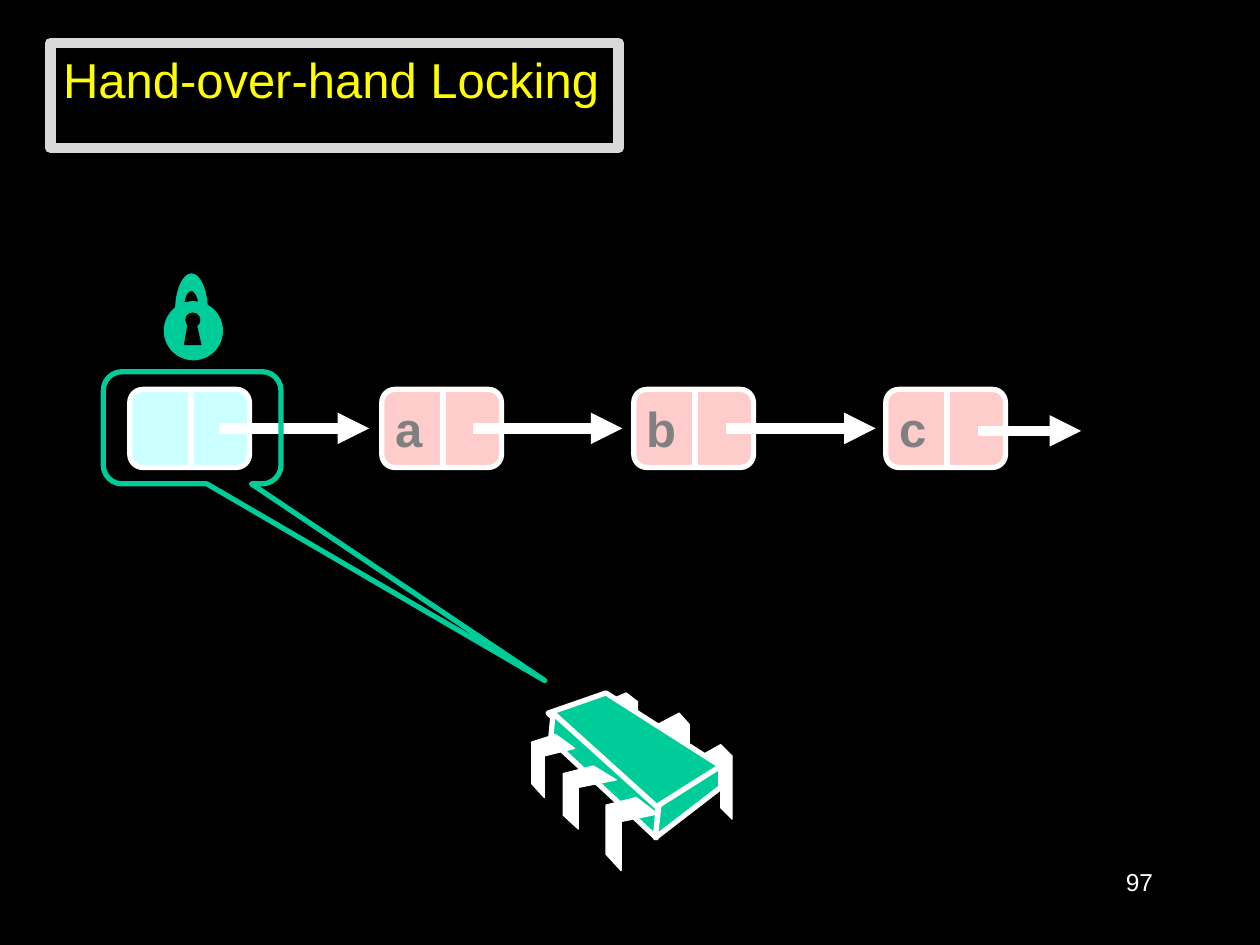
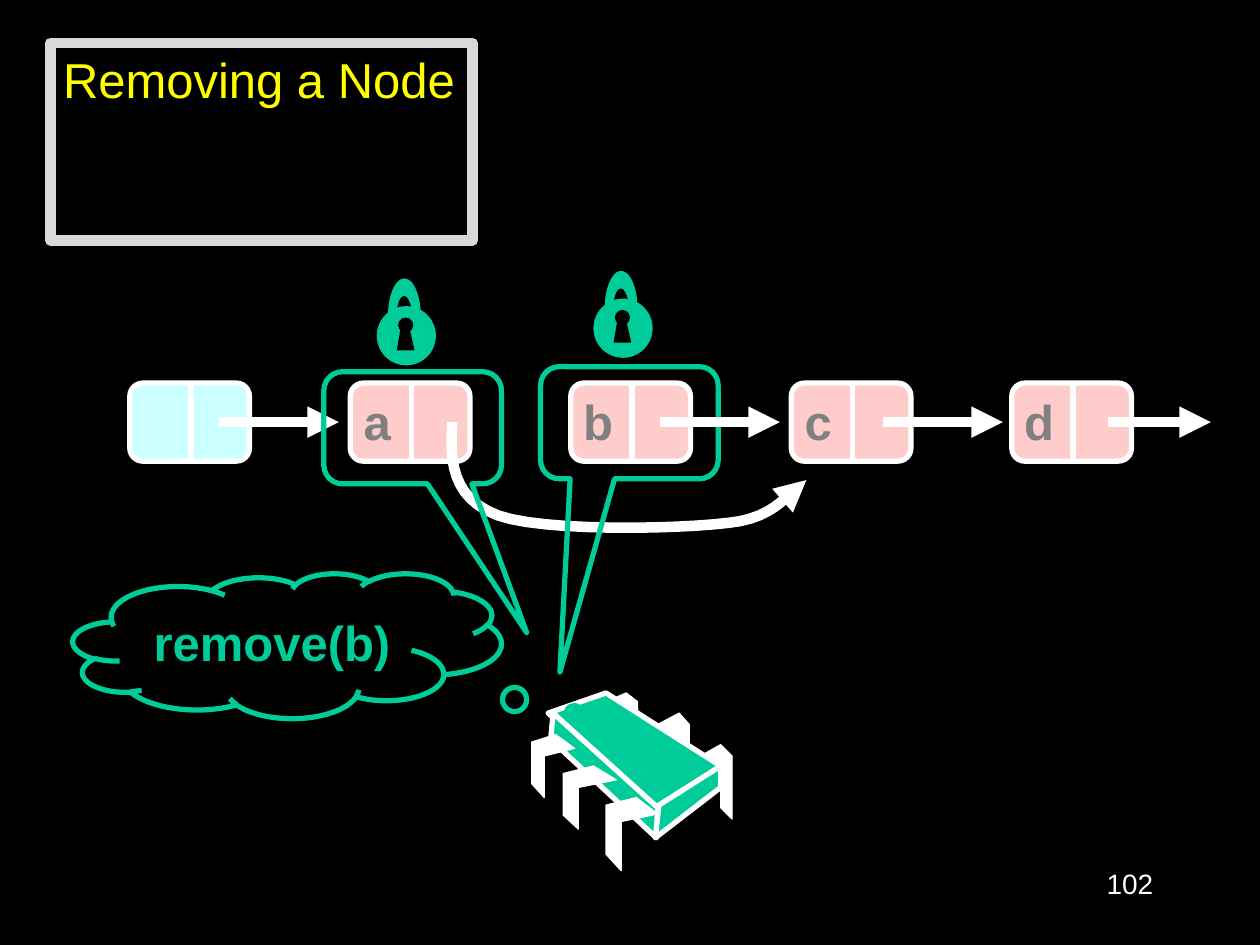
from lxml import etree
from pptx import Presentation
from pptx.dml.color import RGBColor
from pptx.enum.shapes import MSO_CONNECTOR, MSO_SHAPE
from pptx.enum.text import MSO_ANCHOR, MSO_AUTO_SIZE, PP_ALIGN
from pptx.oxml.ns import qn
from pptx.util import Pt

PX = 9144  # EMU in one px, 100 px to the inch
FONT = "Arial"
COLORS = {
    "background": "000000",
    "white": "FFFFFF",
    "thread": "00CC99",
    "sentinel": "CCFFFF",
    "node": "FFCCCC",
    "letter": "808080",
    "title": "FFFF00",
    "title_frame": "D9D9D9",
}

NODE_WIDTH, NODE_HEIGHT = 95, 62
FIRST_NODE_LEFT = 103
CORNER = 0.167

BACK_PINS = [
    [(556, 600), (572, 591), (581, 600), (581, 650), (572, 641), (572, 608), (556, 616)],
    [(522, 575), (539, 566), (547, 575), (547, 625), (539, 616), (539, 583), (522, 591)],
    [(481, 557), (497, 550), (506, 557), (506, 600), (497, 593), (497, 564), (481, 571)],
]
CHIP_FACES = [
    [(481, 550), (572, 608), (521, 643), (435, 566)],
    [(439, 566), (522, 641), (521, 665), (437, 587)],
    [(572, 608), (572, 625), (520, 665), (523, 639)],
]
FRONT_PINS = [
    [(505, 633), (522, 646), (493, 652), (493, 691), (481, 678), (481, 639)],
    [(471, 608), (489, 619), (459, 625), (459, 658), (447, 647), (447, 614)],
    [(441, 583), (456, 594), (432, 600), (432, 633), (422, 622), (422, 589)],
]


def emu(*lengths):
    return [round(length * PX) for length in lengths]


def rgb(name):
    return RGBColor.from_string(COLORS[name])


def paint(shape, fill=None, line=None, width=3):
    shape.shadow.inherit = False
    if fill:
        shape.fill.solid()
        shape.fill.fore_color.rgb = rgb(fill)
    else:
        shape.fill.background()
    if line:
        shape.line.color.rgb = rgb(line)
        shape.line.width = Pt(width)
    else:
        shape.line.fill.background()


def write(shape, text, size, color, align, bold=False, wrap=True):
    frame = shape.text_frame
    frame.word_wrap = wrap
    if not wrap:
        frame.auto_size = MSO_AUTO_SIZE.SHAPE_TO_FIT_TEXT
    paragraph = frame.paragraphs[0]
    paragraph.text = text
    paragraph.alignment = align
    font = paragraph.font
    font.name, font.size, font.bold = FONT, Pt(size), bold
    font.color.rgb = rgb(color)


def add_preset(shapes, preset, box, adjustments=(), **style):
    shape = shapes.add_shape(preset, *emu(*box))
    for index, value in enumerate(adjustments):
        shape.adjustments[index] = value
    paint(shape, **style)
    return shape


def add_outline(shapes, points, close=True, **style):
    start, *others = [emu(*point) for point in points]
    builder = shapes.build_freeform(*start)
    builder.add_line_segments(others, close=close)
    shape = builder.convert_to_shape()
    paint(shape, **style)
    return shape


def curve(start, *pieces, steps=12):
    """Points along cubic pieces, each given as two controls and an end."""
    points = [start]
    for control_1, control_2, end in pieces:
        corners = (points[-1], control_1, control_2, end)
        for step in range(1, steps + 1):
            t = step / steps
            weights = ((1 - t) ** 3, 3 * t * (1 - t) ** 2, 3 * t * t * (1 - t), t ** 3)
            points.append(tuple(
                sum(w * corner[axis] for w, corner in zip(weights, corners))
                for axis in (0, 1)))
    return points


def add_arrowhead(shape):
    etree.SubElement(shape.line._get_or_add_ln(), qn("a:tailEnd"), type="triangle")


def add_line(shapes, start, end, width):
    line = shapes.add_connector(MSO_CONNECTOR.STRAIGHT, *emu(*start, *end))
    line.line.color.rgb = rgb("white")
    line.line.width = Pt(width)
    etree.SubElement(line._element.spPr, qn("a:effectLst"))
    return line


def add_pointer(slide, left, right, y):
    add_arrowhead(add_line(slide.shapes, (left, y), (right, y), 6))


def add_node(slide, left, top, letter):
    shapes = slide.shapes.add_group_shape().shapes
    add_preset(shapes, MSO_SHAPE.ROUNDED_RECTANGLE, (left, top, NODE_WIDTH, NODE_HEIGHT),
               [CORNER], fill="node" if letter else "sentinel", line="white")
    middle = left + 48.5
    add_line(shapes, (middle, top - 1), (middle, top + NODE_HEIGHT + 1), 3)
    if letter:
        label = shapes.add_textbox(*emu(left, top + 2, 43, 57))
        write(label, letter, 28, "letter", PP_ALIGN.CENTER, bold=True, wrap=False)


def add_list(slide, letters, top, step):
    """The sentinel node, then one node for each letter."""
    for index, letter in enumerate(["", *letters]):
        add_node(slide, FIRST_NODE_LEFT + index * step, top, letter)


def add_chip(slide):
    shapes = slide.shapes.add_group_shape().shapes
    for pin in BACK_PINS:
        add_outline(shapes, pin, fill="white", line="white", width=0.75)
    for face in CHIP_FACES:
        add_outline(shapes, face, fill="thread", line="white")
    for pin in FRONT_PINS:
        add_outline(shapes, pin, fill="white", line="white", width=0.75)


def add_lock(slide, left, top):
    shapes = slide.shapes.add_group_shape().shapes

    def shifted(points):
        return [(left + x, top + y) for x, y in points]

    add_preset(shapes, MSO_SHAPE.OVAL, (left, top, 47, 47), fill="thread")
    add_preset(shapes, MSO_SHAPE.OVAL, (left + 17, top + 9, 12, 12), fill="background")
    keyhole = [(16, 35), (19, 17), (26, 17), (30, 35)]
    add_outline(shapes, shifted(keyhole), fill="background")
    inner = curve((16, 7), ((16, -1), (18, -8), (22, -8)), ((25, -8), (28, -1), (28, 7)))
    outer = curve((35, 7), ((35, -9), (29, -22), (22, -22)), ((15, -22), (9, -9), (9, 7)))
    add_outline(shapes, shifted(inner + outer), fill="thread")


def add_grip(slide, left, top, tip_x, tip_y):
    """A callout round a node, with its tip at the thread that holds it."""
    add_preset(slide.shapes, MSO_SHAPE.ROUNDED_RECTANGULAR_CALLOUT, (left, top, 141, 89),
               [tip_x, tip_y, CORNER], line="thread")


def add_thought(slide, text):
    cloud = add_preset(slide.shapes, MSO_SHAPE.CLOUD_CALLOUT, (58, 455, 340, 115),
                       [0.791, 0.553], line="thread")
    cloud.text_frame.vertical_anchor = MSO_ANCHOR.MIDDLE
    write(cloud, text, 28, "thread", PP_ALIGN.CENTER, bold=True)


def add_bypass(slide):
    """The curved pointer from node a past node b to node c."""
    path = curve((359, 335),
                 ((357, 365), (358, 395), (395, 409)),
                 ((431, 422), (537, 420), (578, 415)),
                 ((618, 411), (627, 388), (640, 381)))
    add_arrowhead(add_outline(slide.shapes, path, close=False, line="white", width=6))


def start_slide(deck, title, title_width, number, number_size):
    slide = deck.slides.add_slide(deck.slide_layouts[5])
    heading = slide.shapes.title
    heading.left, heading.top, heading.width, heading.height = emu(40, 34, title_width, 57)
    heading.fill.solid()
    heading.fill.fore_color.rgb = rgb("background")
    heading.line.color.rgb = rgb("title_frame")
    heading.line.width = Pt(6)
    heading.text_frame.vertical_anchor = MSO_ANCHOR.TOP
    write(heading, title, 28, "title", PP_ALIGN.LEFT, wrap=False)
    page = slide.shapes.add_textbox(*emu(717, 683, 208, 50))
    write(page, number, number_size, "white", PP_ALIGN.RIGHT)
    return slide


def build_locking(deck):
    slide = start_slide(deck, "Hand-over-hand Locking", 451, "97", 14)
    add_list(slide, "abc", 309, 200)
    for left in (174, 375, 576):
        add_pointer(slide, left, left + 119, 340)
    add_chip(slide)
    add_grip(slide, 82, 295, 1.985, 2.254)
    add_lock(slide, 130, 239)
    add_pointer(slide, 776, 858, 342)


def build_removing(deck):
    slide = start_slide(deck, "Removing a Node", 335, "102", 16)
    add_list(slide, "abcd", 304, 175)
    add_pointer(slide, 174, 269, 335)
    add_bypass(slide)
    add_chip(slide)
    add_grip(slide, 429, 291, -0.391, 2.223)
    add_grip(slide, 257, 295, 0.642, 1.826)
    for left, right in ((524, 619), (701, 796), (879, 961)):
        add_pointer(slide, left, right, 335)
    add_lock(slide, 471, 237)
    add_lock(slide, 299, 243)
    add_thought(slide, "remove(b)")


def main():
    deck = Presentation()
    deck.slide_width, deck.slide_height = emu(1000, 750)
    backdrop = deck.slide_master.background.fill
    backdrop.solid()
    backdrop.fore_color.rgb = rgb("background")
    build_locking(deck)
    build_removing(deck)
    deck.save("out.pptx")


if __name__ == "__main__":
    main()
